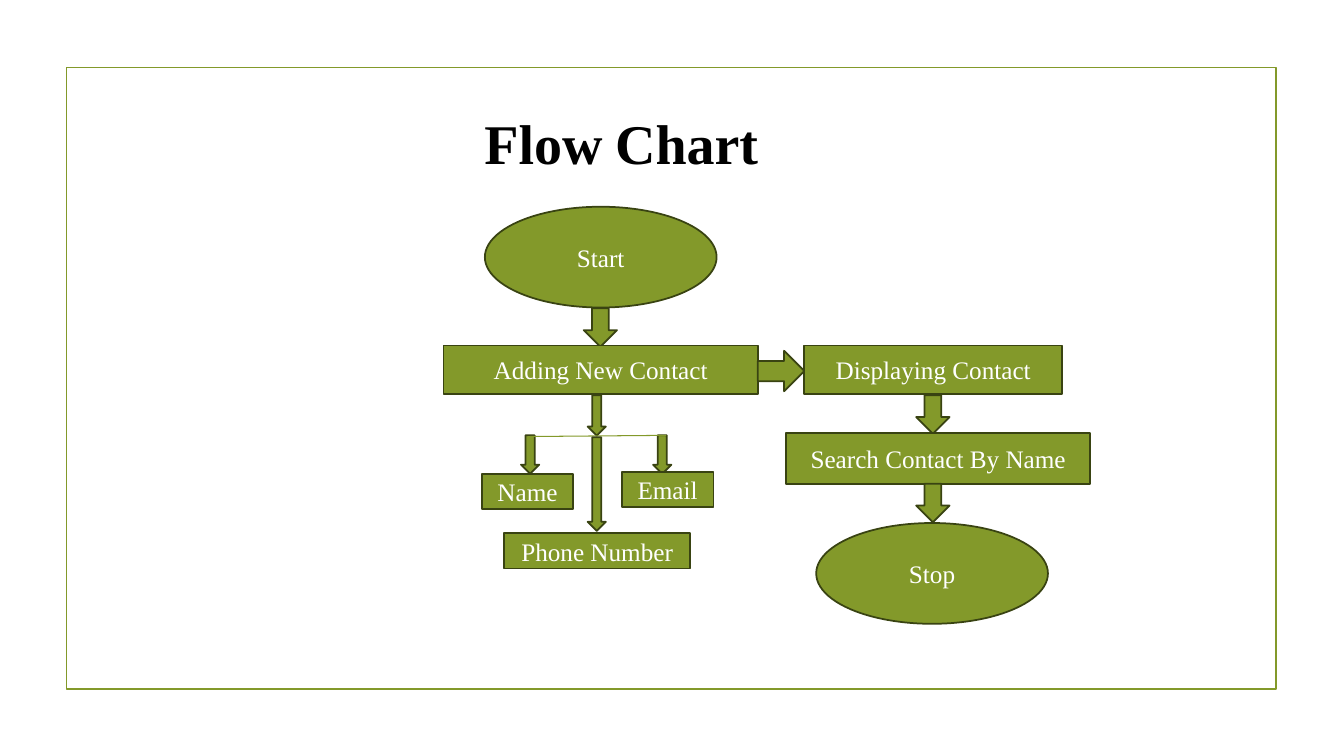
from lxml import etree
from pptx import Presentation
from pptx.dml.color import RGBColor
from pptx.enum.shapes import MSO_CONNECTOR, MSO_SHAPE
from pptx.enum.text import MSO_ANCHOR, MSO_AUTO_SIZE, PP_ALIGN
from pptx.oxml.ns import qn
from pptx.util import Cm, Pt

OLIVE = RGBColor(0x83, 0x99, 0x2A)
DARK_OLIVE = RGBColor(0x39, 0x43, 0x12)
BLACK = RGBColor(0, 0, 0)
WHITE = RGBColor(255, 255, 255)

RECT = MSO_SHAPE.RECTANGLE
OVAL = MSO_SHAPE.OVAL
DOWN = MSO_SHAPE.DOWN_ARROW
RIGHT = MSO_SHAPE.RIGHT_ARROW
STRAIGHT = MSO_CONNECTOR.STRAIGHT
MIDDLE = MSO_ANCHOR.MIDDLE
CENTER = PP_ALIGN.CENTER
GROW = MSO_AUTO_SIZE.SHAPE_TO_FIT_TEXT

OVAL_SIZE = (5.84, 2.54)
FIELD_SIZE = (2.31, 0.89)
STEP_ARROW = (0.84, 0.97)
FIELD_ARROW = (0.46, 0.97)

STEPS = [
    (OVAL, 12.22, 5.21, *OVAL_SIZE, "Start"),
    (DOWN, 14.71, 7.77, *STEP_ARROW, ""),
    (RECT, 11.18, 8.71, 7.92, 1.22, "Adding New Contact"),
    (DOWN, 14.81, 9.96, 0.46, 1.02, ""),
    (DOWN, 13.13, 10.97, *FIELD_ARROW, ""),
    (DOWN, 16.46, 10.97, *FIELD_ARROW, ""),
    (RECT, 12.14, 11.94, *FIELD_SIZE, "Name"),
    (RECT, 15.67, 11.89, *FIELD_SIZE, "Email"),
    (RECT, 12.7, 13.44, 4.7, 0.89, "Phone Number"),
]
DISPLAY_STEPS = [
    (DOWN, 14.81, 11.02, 0.46, 2.36, ""),
    (RIGHT, 19.1, 8.84, 1.17, 1.02, ""),
    (RECT, 20.27, 8.71, 6.5, 1.22, "Displaying Contact"),
    (DOWN, 23.09, 9.96, *STEP_ARROW, ""),
    (RECT, 19.81, 10.92, 7.67, 1.27, "Search Contact By Name"),
    (DOWN, 23.09, 12.19, *STEP_ARROW, ""),
    (OVAL, 20.57, 13.18, *OVAL_SIZE, "Stop"),
]


class FlowSlide:
    font = "Times New Roman"
    line_width = Pt(1.25)

    def __init__(self, slide):
        self.shapes = slide.shapes

    def run(self, p, text, size, color, bold=False):
        r = p.add_run()
        r.text = text
        values = {"name": self.font, "size": Pt(size), "bold": bold}
        for name, value in values.items():
            setattr(r.font, name, value)
        r.font.color.rgb = color

    def shape(self, kind, x, y, w, h, text="", fill=OLIVE, line=DARK_OLIVE):
        sp = self.shapes.add_shape(kind, Cm(x), Cm(y), Cm(w), Cm(h))
        sp.shadow.inherit = False
        if fill is None:
            sp.fill.background()
        else:
            sp.fill.solid()
            sp.fill.fore_color.rgb = fill
        sp.line.color.rgb = line
        sp.line.width = self.line_width
        if text:
            tf = sp.text_frame
            for name, value in {"word_wrap": True, "vertical_anchor": MIDDLE}.items():
                setattr(tf, name, value)
            p = tf.paragraphs[0]
            p.alignment = CENTER
            self.run(p, text, 18, WHITE)

    def title(self, x, y, w, h, parts):
        tf = self.shapes.add_textbox(Cm(x), Cm(y), Cm(w), Cm(h)).text_frame
        for name, value in {"word_wrap": False, "auto_size": GROW}.items():
            setattr(tf, name, value)
        for text, size in parts:
            self.run(tf.paragraphs[0], text, size, BLACK, bold=True)

    def line(self, x1, y1, x2, y2):
        cxn = self.shapes.add_connector(STRAIGHT, Cm(x1), Cm(y1), Cm(x2), Cm(y2))
        cxn.line.color.rgb = OLIVE
        cxn.line.width = Pt(0.75)
        etree.SubElement(cxn._element.spPr, qn("a:effectLst"))


def main():
    prs = Presentation()
    prs.slide_width, prs.slide_height = Cm(33.87), Cm(19.05)
    s = FlowSlide(prs.slides.add_slide(prs.slide_layouts[6]))
    s.shape(RECT, 1.68, 1.7, 30.48, 15.67, fill=None, line=OLIVE)
    s.title(11.96, 2.62, 7.42, 1.96, [("Flow", 40), (" ", 36), ("Chart", 40)])
    for step in STEPS:
        s.shape(*step)
    s.line(13.31, 11, 16.79, 10.97)
    for step in DISPLAY_STEPS:
        s.shape(*step)
    prs.save("out.pptx")


if __name__ == "__main__":
    main()
